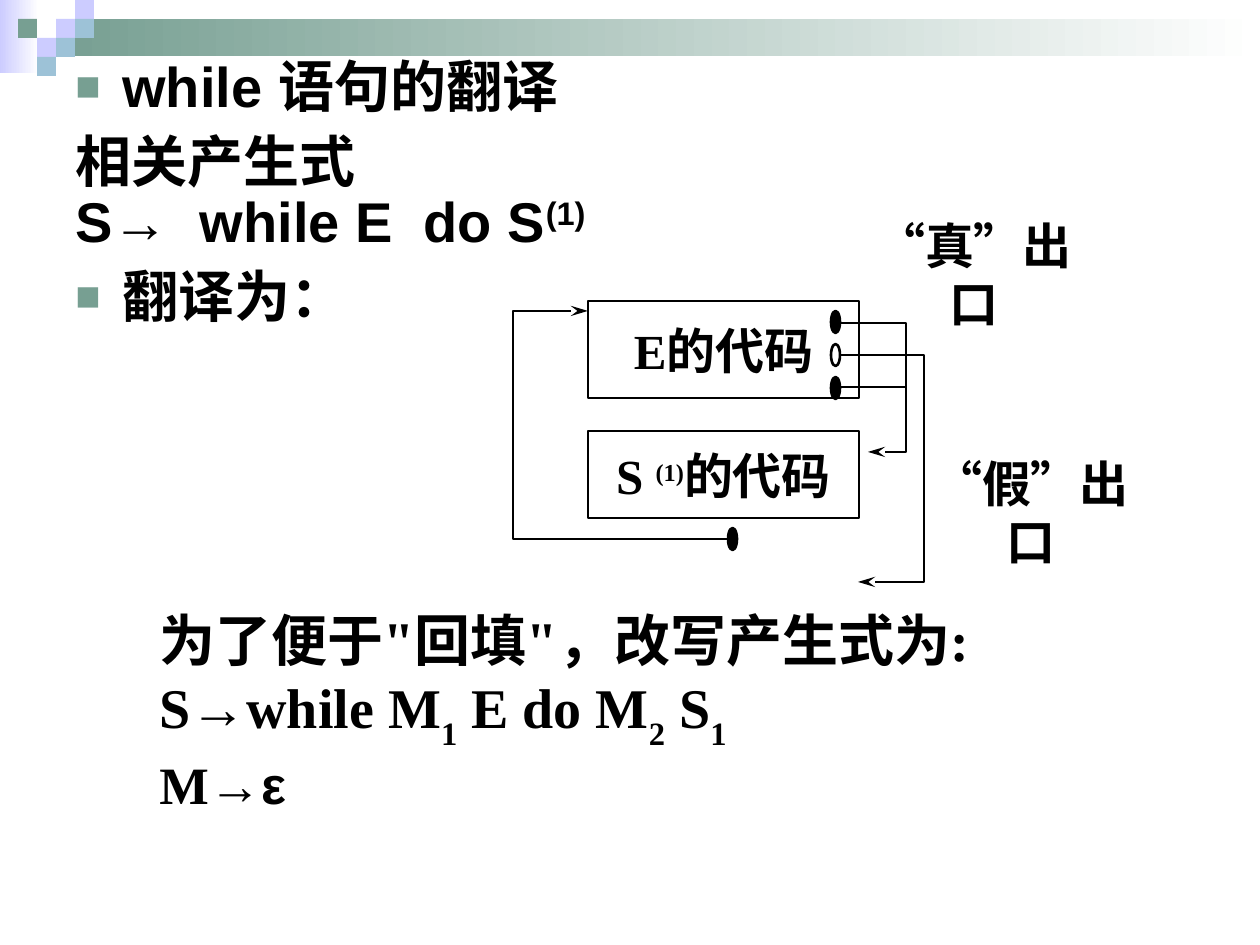
from lxml.etree import SubElement
from pptx import Presentation
from pptx.dml.color import RGBColor
from pptx.enum.lang import MSO_LANGUAGE_ID as LANG
from pptx.enum.shapes import MSO_CONNECTOR, MSO_SHAPE
from pptx.enum.text import MSO_ANCHOR, PP_ALIGN
from pptx.oxml.ns import qn
from pptx.util import Pt

PX = 914400 / 126
INK = {k: RGBColor.from_string(v) for k, v in {
    "black": "000000", "white": "FFFFFF", "lilac": "CCCCFF",
    "green": "779F92", "blue": "9DC2D7"}.items()}
SANS, SERIF = "Arial", "Times New Roman"
BOTH, MID = {"alignment": PP_ALIGN.JUSTIFY}, {"alignment": PP_ALIGN.CENTER}
TIGHT = {"line_spacing": 0.9}
GAP = {**TIGHT, "space_before": Pt(8)}

deck = Presentation()
deck.slide_width, deck.slide_height = round(1260 * PX), round(945 * PX)
slide = deck.slides.add_slide(deck.slide_layouts[6])
shapes = slide.shapes


def draw(kind, box, fill=None, edge=None):
    item = shapes.add_shape(kind, *[round(n * PX) for n in box])
    item.shadow.inherit = False
    if fill:
        item.fill.solid()
        item.fill.fore_color.rgb = INK[fill]
    else:
        item.fill.background()
    if edge:
        item.line.color.rgb = INK[edge]
        item.line.width = Pt(1.5)
    else:
        item.line.fill.background()
    return item


def write(item, face, size, rows, wrap=True, anchor=MSO_ANCHOR.TOP):
    frame = item.text_frame
    frame.word_wrap, frame.vertical_anchor = wrap, anchor
    for i, (form, mark, runs) in enumerate(rows):
        para = frame.add_paragraph() if i else frame.paragraphs[0]
        if mark:
            props = para._p.get_or_add_pPr()
            props.set("marL", str(round(47 * PX)))
            props.set("indent", str(round(-47 * PX)))
            if mark == "■":
                tint = SubElement(props, qn("a:buClr"))
                SubElement(tint, qn("a:srgbClr"), val=str(INK["green"]))
                SubElement(props, qn("a:buSzPct"), val="75000")
                SubElement(props, qn("a:buFont"), typeface=SANS)
                SubElement(props, qn("a:buChar"), char=mark)
            else:
                SubElement(props, qn("a:buNone"))
        for key, val in form.items():
            setattr(para, key, val)
        for text, shift, extra in runs:
            run = para.add_run()
            run.text = text
            look = {"name": face, "size": Pt(size), "bold": True,
                    "language_id": LANG.SIMPLIFIED_CHINESE, **extra}
            for key, val in look.items():
                setattr(run.font, key, val)
            run.font.color.rgb = INK["black"]
            if shift:
                run._r.get_or_add_rPr().set("baseline", str(shift * 1000))


for box, hue in [((0, 0, 39, 73), "lilac"), ((57, 19, 1203, 37), "green")]:
    band = draw(MSO_SHAPE.RECTANGLE, box)
    band.fill.gradient()
    band.fill.gradient_angle = 0
    for stop, name in zip(band.fill.gradient_stops, (hue, "white")):
        stop.color.rgb = INK[name]

for col, row, hue in [(3, 1, "lilac"), (4, 0, "lilac"), (4, 1, "blue"),
                      (2, 2, "lilac"), (1, 1, "green"), (3, 2, "blue"),
                      (2, 3, "blue")]:
    draw(MSO_SHAPE.RECTANGLE, (19 * col - 1, 19 * row, 19, 19), hue)

body = shapes.add_textbox(*[round(n * PX) for n in (63, 53, 1029, 305)])
write(body, SANS, 32, [
    ({**BOTH, **TIGHT}, "■", [("while 语句的翻译", 0, {})]),
    ({**BOTH, **GAP}, "none", [("相关产生式", 0, {})]),
    (TIGHT, "none", [("S→  while E  do S", 0, {}), ("(1)", 30, {})]),
    (GAP, "■", [("翻译为：", 0, {})])])

for box, runs in [
        ((588, 301, 271, 97), [("E的代码", 0, {})]),
        ((588, 431, 271, 87), [("S ", 0, {}), ("(1)", 30, {"size": Pt(24)}),
                               ("的代码", 0, {})])]:
    code = draw(MSO_SHAPE.RECTANGLE, box, edge="black")
    write(code, SERIF, 28, [(MID, "", runs)], False, MSO_ANCHOR.MIDDLE)

for track in [[(840, 355), (924, 355), (924, 582), (858, 582)],
              [(840, 323), (906, 323), (906, 452), (868, 452)],
              [(728, 539), (513, 539), (513, 311), (588, 311)]]:
    pen = shapes.build_freeform(*track[0], scale=PX)
    pen.add_line_segments(track[1:], close=False)
    wire = pen.convert_to_shape()
    wire.shadow.inherit = False
    wire.fill.background()
    wire.line.color.rgb = INK["black"]
    wire.line.width = Pt(1.5)
    SubElement(wire.line._get_or_add_ln(), qn("a:tailEnd"),
               type="stealth", w="med", len="lg")

link = shapes.add_connector(MSO_CONNECTOR.STRAIGHT,
                            *[round(n * PX) for n in (840, 387, 906, 387)])
link.line.color.rgb = INK["black"]
link.line.width = Pt(1.5)
SubElement(link._element.spPr, qn("a:effectLst"))

for left, top, fill in [(831, 344, None), (831, 311, "black"),
                        (831, 377, "black"), (728, 528, "black")]:
    draw(MSO_SHAPE.OVAL, (left, top, 9, 22), fill, "black")

for left, top, text in [(841, 236, "“真”出口"), (898, 474, "“假”出口")]:
    label = shapes.add_textbox(*[round(n * PX) for n in (left, top, 266, 76)])
    write(label, SERIF, 28, [(MID, "", [(text, 0, {})])],
          anchor=MSO_ANCHOR.MIDDLE)

note = shapes.add_textbox(*[round(n * PX) for n in (147, 599, 935, 284)])
write(note, SERIF, 32, [
    (BOTH, "", [("为了便于\"回填\"，改写产生式为:", 0, {})]),
    ({}, "", [("S→while M", 0, {}), ("1", -30, {}), (" E do M", 0, {}),
              ("2", -30, {}), (" S", 0, {}), ("1", -30, {})]),
    ({}, "", [("M→", 0, {"size": Pt(30)}),
              ("ε", 0, {"size": Pt(30), "name": SANS})])])

deck.save("out.pptx")
